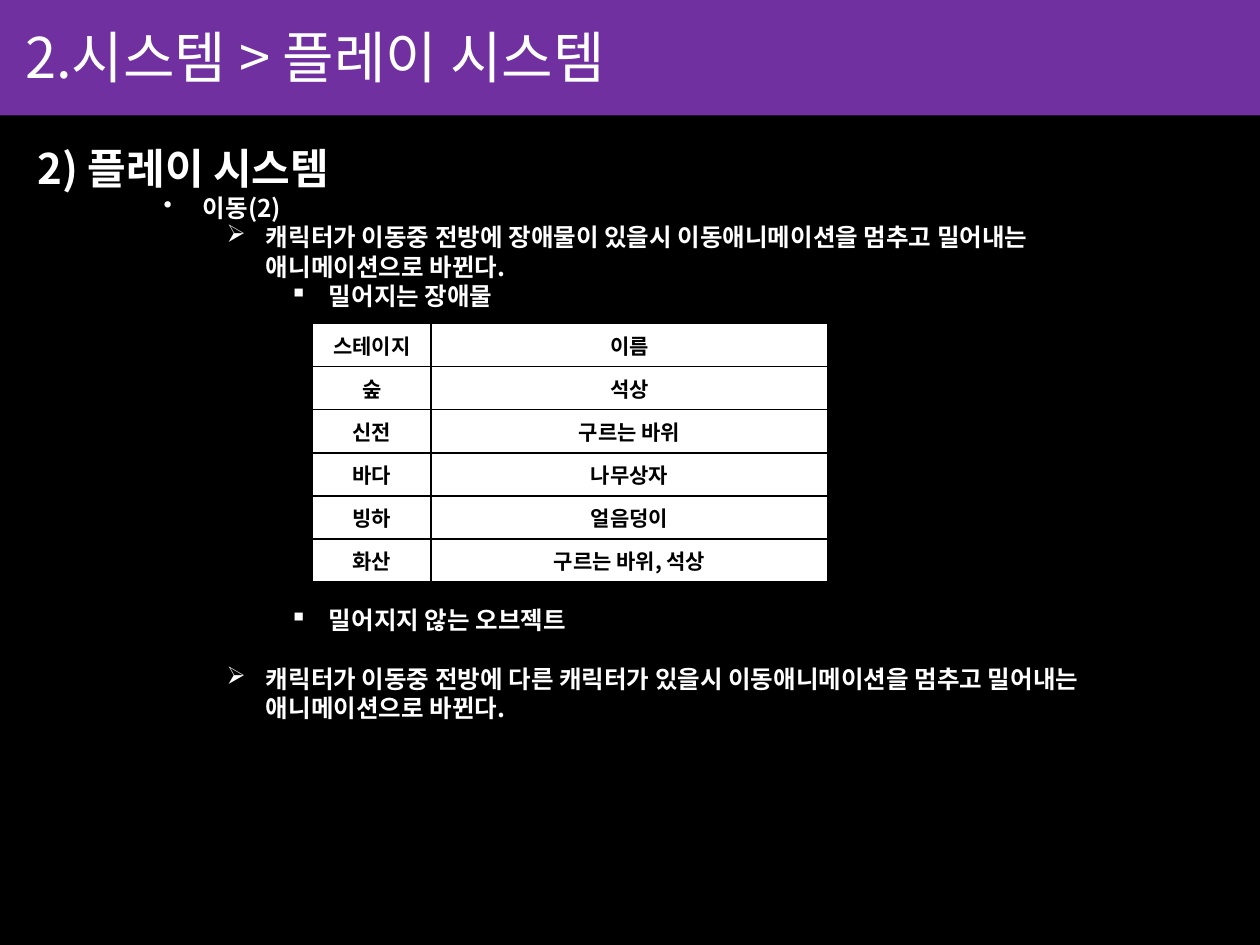
from dataclasses import dataclass

from lxml.etree import SubElement
from pptx import Presentation
from pptx.dml.color import RGBColor
from pptx.enum.shapes import MSO_SHAPE
from pptx.enum.text import MSO_ANCHOR, PP_ALIGN
from pptx.oxml.ns import qn
from pptx.util import Pt


@dataclass(frozen=True)
class Theme:
    font: str = "Noto Sans CJK KR"
    black: str = "000000"
    white: str = "FFFFFF"
    purple: str = "7030A0"
    title: int = 32
    head: int = 24
    body: int = 14
    cell: int = 12
    lead: float = 1.2


THEME = Theme()
LINE = THEME.body * THEME.lead
STEP = 36  # indent added by each list level
HANG = 22.5

# level, bullet, text, blank lines above
ITEMS = [
    (2, "•", "이동(2)", 0),
    (3, "➢", "캐릭터가 이동중 전방에 장애물이 있을시 이동애니메이션을 멈추고 "
             "밀어내는 애니메이션으로 바뀐다.", 0),
    (4, "▪", "밀어지는 장애물", 0),
    (4, "▪", "밀어지지 않는 오브젝트", 10),
    (3, "➢", "캐릭터가 이동중 전방에 다른 캐릭터가 있을시 이동애니메이션을 멈추고 "
             "밀어내는 애니메이션으로 바뀐다.", 1),
]

ROWS = [
    ("스테이지", "이름"),
    ("숲", "석상"),
    ("신전", "구르는 바위"),
    ("바다", "나무상자"),
    ("빙하", "얼음덩이"),
    ("화산", "구르는 바위, 석상"),
]


def write(para, text, size, color=THEME.white, bold=True, align=PP_ALIGN.LEFT):
    para.alignment = align
    run = para.add_run()
    run.text = text
    font = run.font
    font.size = Pt(size)
    font.bold = bold
    font.color.rgb = RGBColor.from_string(color)
    font.name = THEME.font
    # Hangul takes its typeface from the East Asian slot
    SubElement(run._r.get_or_add_rPr(), qn("a:ea"), typeface=THEME.font)


def add_bar(slide, top, height, color):
    bar = slide.shapes.add_shape(
        MSO_SHAPE.RECTANGLE, 0, Pt(top), Pt(720), Pt(height))
    bar.shadow.inherit = False
    bar.fill.solid()
    bar.fill.fore_color.rgb = RGBColor.from_string(color)
    bar.line.fill.background()
    return bar


def add_title(slide, text):
    frame = add_bar(slide, -2, 68, THEME.purple).text_frame
    frame.margin_left = Pt(14.4)
    frame.vertical_anchor = MSO_ANCHOR.MIDDLE
    write(frame.paragraphs[0], text, THEME.title, bold=False)


def set_bullet(para, level, mark):
    para.level = level
    props = para._p.get_or_add_pPr()
    props.set("marL", str(Pt(level * STEP + HANG)))
    props.set("indent", str(Pt(-HANG)))
    SubElement(props, qn("a:buChar"), char=mark)


def add_list(slide, head, items):
    box = slide.shapes.add_textbox(Pt(14.4), Pt(78), Pt(669), Pt(407))
    frame = box.text_frame
    frame.word_wrap = True
    first = frame.paragraphs[0]
    first.line_spacing = Pt(THEME.head * THEME.lead)
    write(first, head, THEME.head)
    for level, mark, text, gap in items:
        para = frame.add_paragraph()
        set_bullet(para, level, mark)
        para.line_spacing = Pt(LINE)
        para.space_before = Pt(gap * LINE)
        write(para, text, THEME.body)


def set_border(cell, color):
    props = cell._tc.get_or_add_tcPr()
    for at, side in enumerate(("a:lnL", "a:lnR", "a:lnT", "a:lnB")):
        line = props.makeelement(qn(side), {"w": str(Pt(1))})
        fill = SubElement(line, qn("a:solidFill"))
        SubElement(fill, qn("a:srgbClr"), val=color)
        props.insert(at, line)


def add_grid(slide, rows, widths, height):
    frame = slide.shapes.add_table(
        len(rows), len(widths), Pt(178.6), Pt(185),
        Pt(sum(widths)), Pt(height * len(rows)))
    table = frame.table
    for col, width in zip(table.columns, widths):
        col.width = Pt(width)
    for row, texts in zip(table.rows, rows):
        row.height = Pt(height)
        for cell, text in zip(row.cells, texts):
            cell.fill.solid()
            cell.fill.fore_color.rgb = RGBColor.from_string(THEME.white)
            cell.vertical_anchor = MSO_ANCHOR.MIDDLE
            set_border(cell, THEME.black)
            write(cell.text_frame.paragraphs[0], text, THEME.cell,
                  color=THEME.black, align=PP_ALIGN.CENTER)


def main():
    deck = Presentation()
    deck.slide_width, deck.slide_height = Pt(720), Pt(540)
    slide = deck.slides.add_slide(deck.slide_layouts[6])
    add_bar(slide, 1.4, 540, THEME.black)
    add_list(slide, "2) 플레이 시스템", ITEMS)
    add_grid(slide, ROWS, (67.8, 226.7), 24.6)
    add_title(slide, "2.시스템 > 플레이 시스템")
    deck.save("out.pptx")


if __name__ == "__main__":
    main()
